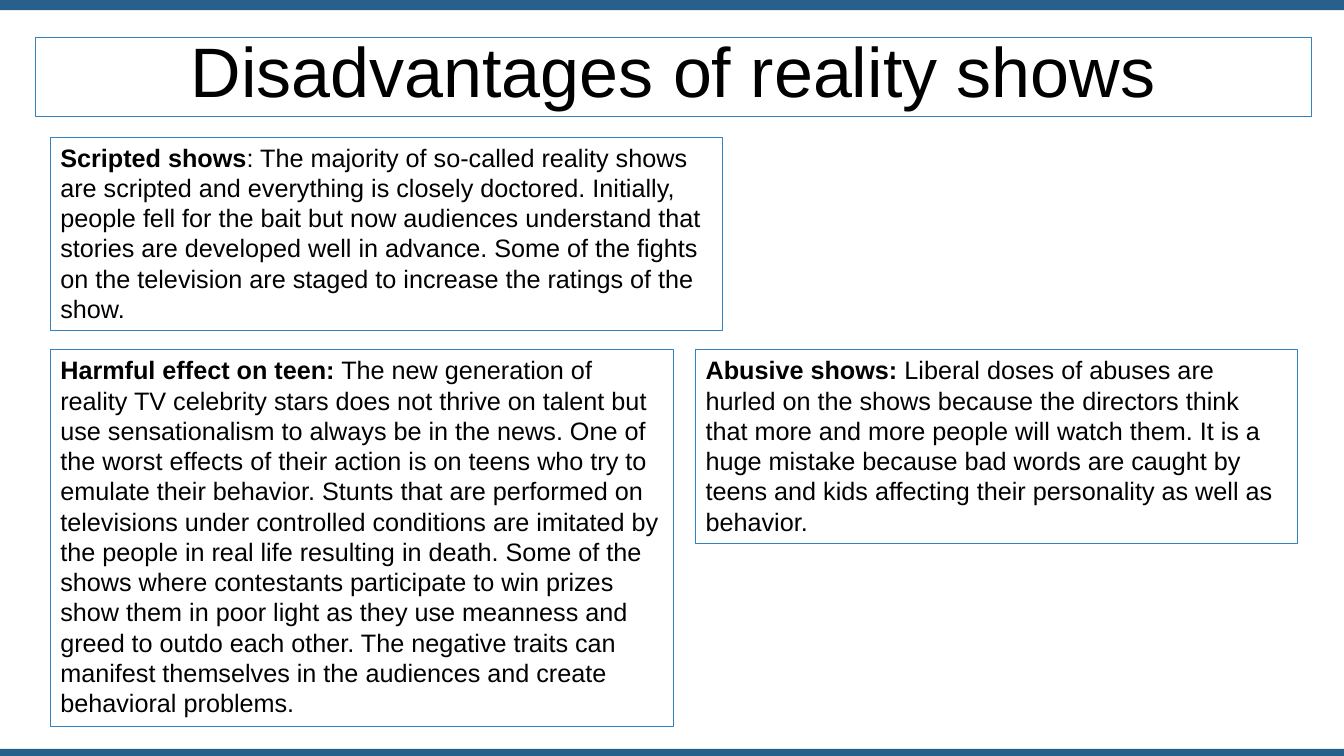
"""Build the slide on the disadvantages of reality shows."""
from dataclasses import dataclass

from pptx import Presentation
from pptx.dml.color import RGBColor
from pptx.enum.shapes import MSO_SHAPE as Preset
from pptx.enum.text import MSO_ANCHOR as Anchor, MSO_AUTO_SIZE as AutoSize, PP_ALIGN as Align
from pptx.shapes.autoshape import Shape
from pptx.slide import Slide
from pptx.util import Inches, Pt


@dataclass(frozen=True)
class Theme:
    """Colours, font and type sizes."""
    bar: RGBColor = RGBColor.from_string("28608C")
    border: RGBColor = RGBColor.from_string("3282BE")
    ink: RGBColor = RGBColor.from_string("000000")
    font: str = "Arial"
    title_size: Pt = Pt(50)
    body_size: Pt = Pt(18)
    border_width: Pt = Pt(0.75)


@dataclass(frozen=True)
class Area:
    """A rectangle in percent of the slide's width and height."""
    left: float
    top: float
    width: float
    height: float


@dataclass(frozen=True)
class Panel:
    """A bordered box with a bold lead and running text."""
    area: Area
    lead: str
    body: str


THEME = Theme()
WIDTH, HEIGHT = Inches(13.33), Inches(7.5)
MARGIN, LOWER_ROW, SHORT_PANEL = 3.75, 46.27, 25.6

BARS = [Area(0, 0, 100, 1.33), Area(0, 99.07, 100, 0.93)]
TITLE_AREA = Area(2.63, 4.93, 94.97, 10.53)
TITLE = "Disadvantages of reality shows"
PANELS = [
    Panel(
        Area(MARGIN, 18.13, 50.04, SHORT_PANEL),
        "Scripted shows",
        ": The majority of so-called reality shows are scripted and everything is closely "
        "doctored. Initially, people fell for the bait but now audiences understand that "
        "stories are developed well in advance. Some of the fights on the television are "
        "staged to increase the ratings of the show.",
    ),
    Panel(
        Area(MARGIN, LOWER_ROW, 46.36, 49.87),
        "Harmful effect on teen:",
        " The new generation of reality TV celebrity stars does not thrive on talent but use "
        "sensationalism to always be in the news. One of the worst effects of their action is "
        "on teens who try to emulate their behavior. Stunts that are performed on televisions "
        "under controlled conditions are imitated by the people in real life resulting in "
        "death. Some of the shows where contestants participate to win prizes show them in "
        "poor light as they use meanness and greed to outdo each other. The negative traits "
        "can manifest themselves in the audiences and create behavioral problems.",
    ),
    Panel(
        Area(51.76, LOWER_ROW, 44.79, SHORT_PANEL),
        "Abusive shows:",
        " Liberal doses of abuses are hurled on the shows because the directors think that "
        "more and more people will watch them. It is a huge mistake because bad words are "
        "caught by teens and kids affecting their personality as well as behavior.",
    ),
]


def apply(target: object, values: dict[str, object]) -> None:
    """Set each named attribute on the target."""
    for name, value in values.items():
        setattr(target, name, value)


def add_box(page: Slide, area: Area) -> Shape:
    """Add a plain rectangle without a shadow."""
    box = page.shapes.add_shape(
        Preset.RECTANGLE,
        round(WIDTH * area.left / 100),
        round(HEIGHT * area.top / 100),
        round(WIDTH * area.width / 100),
        round(HEIGHT * area.height / 100),
    )
    box.shadow.inherit = False
    return box


def add_bar(page: Slide, area: Area) -> None:
    """Draw a solid band across the slide."""
    box = add_box(page, area)
    box.fill.solid()
    box.fill.fore_color.rgb = THEME.bar
    box.line.fill.background()


def add_text_box(page: Slide, area: Area, spans: list[tuple[str, bool]], size: Pt,
                 frame_format: dict[str, object], para_format: dict[str, object]) -> None:
    """Draw a bordered box holding one paragraph of (text, bold) spans."""
    box = add_box(page, area)
    box.fill.background()
    box.line.color.rgb = THEME.border
    box.line.width = THEME.border_width
    apply(box.text_frame, {"word_wrap": True, **frame_format})
    para = box.text_frame.paragraphs[0]
    apply(para, para_format)
    for text, bold in spans:
        span = para.add_run()
        span.text = text
        apply(span.font, {"name": THEME.font, "size": size, "bold": bold})
        span.font.color.rgb = THEME.ink


def main() -> None:
    """Build and save the deck."""
    deck = Presentation()
    apply(deck, {"slide_width": WIDTH, "slide_height": HEIGHT})
    page = deck.slides.add_slide(deck.slide_layouts[6])
    for area in BARS:
        add_bar(page, area)
    add_text_box(
        page, TITLE_AREA, [(TITLE, False)], THEME.title_size,
        {"vertical_anchor": Anchor.MIDDLE},
        {"alignment": Align.CENTER, "line_spacing": 0.8, "space_before": Pt(10)},
    )
    for panel in PANELS:
        add_text_box(
            page, panel.area, [(panel.lead, True), (panel.body, False)], THEME.body_size,
            {"vertical_anchor": Anchor.TOP, "auto_size": AutoSize.SHAPE_TO_FIT_TEXT},
            {"alignment": Align.LEFT},
        )
    deck.save("out.pptx")


if __name__ == "__main__":
    main()
